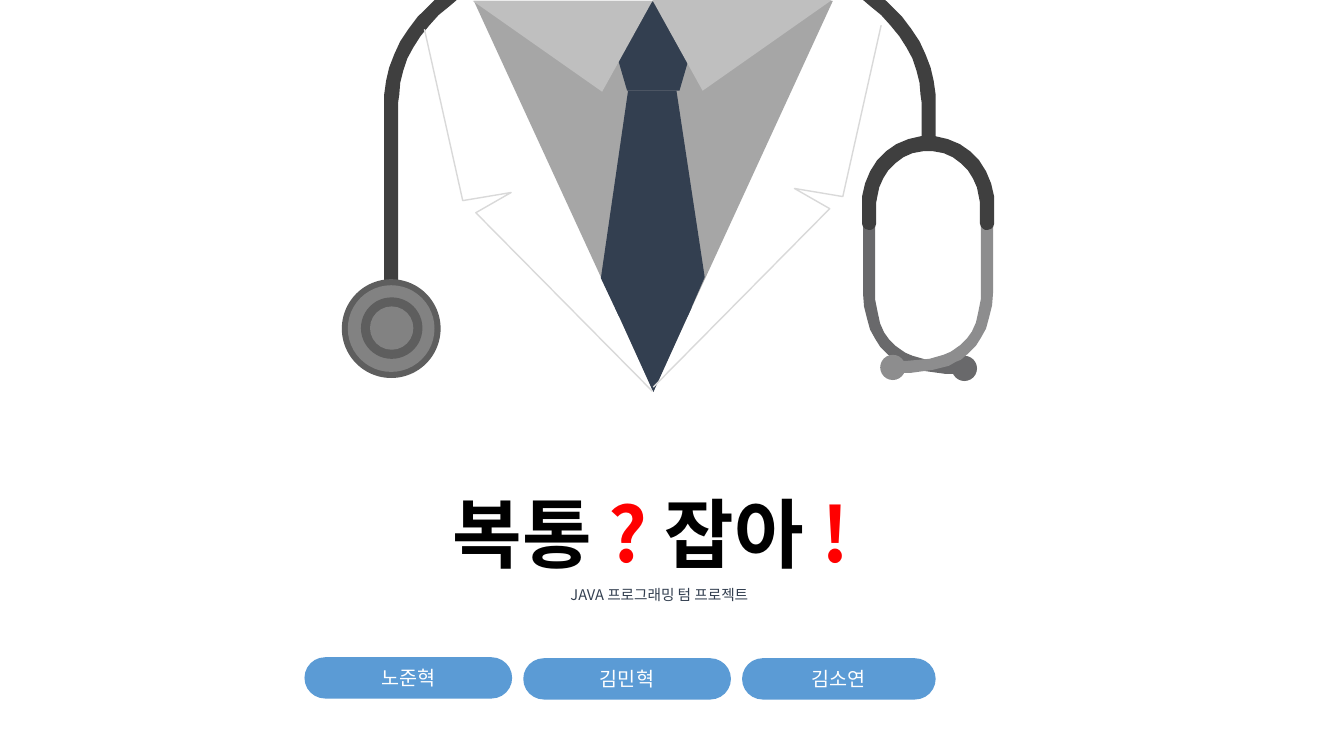
"""Build the title slide of a doctor-themed Java term project."""
from dataclasses import dataclass
from typing import Any

from lxml import etree
from pptx import Presentation
from pptx.dml.color import RGBColor
from pptx.enum.shapes import MSO_SHAPE
from pptx.enum.text import MSO_ANCHOR, MSO_AUTO_SIZE, PP_ALIGN
from pptx.oxml.ns import qn
from pptx.util import Emu, Pt

TRIANGLE = MSO_SHAPE.ISOSCELES_TRIANGLE
PENTAGON = MSO_SHAPE.REGULAR_PENTAGON
OVAL = MSO_SHAPE.OVAL
PILL = MSO_SHAPE.ROUNDED_RECTANGLE
CENTER = PP_ALIGN.CENTER
MIDDLE = MSO_ANCHOR.MIDDLE
GROW = MSO_AUTO_SIZE.SHAPE_TO_FIT_TEXT

EMU_PER_PX = 9144
FONT = "Noto Sans CJK KR"
NAVY, SHIRT, COLLAR, RUBBER = "333F50", "A6A6A6", "BFBFBF", "3F3F3F"
RIM, DISC, DARK_METAL, LIGHT_METAL = "5E5E5E", "828282", "69696B", "8D8D8E"
SEAM, BLUE, WHITE, BLACK, RED = "D9D9D9", "5B9BD5", "FFFFFF", "000000", "FF0000"

Points = list[tuple[int, int]]


@dataclass(frozen=True)
class Preset:
    kind: Any
    left: int
    top: int
    width: int
    height: int
    fill: str
    rotation: int = 0
    adjustment: float | None = None


@dataclass(frozen=True)
class Outline:
    points: Points
    fill: str | None = None
    line: str | None = None


@dataclass(frozen=True)
class Words:
    text: str
    color: str
    size: float
    bold: bool = False


@dataclass(frozen=True)
class Member:
    name: str
    top: int
    width: int


def px(value: int) -> Emu:
    return Emu(value * EMU_PER_PX)


def rgb(color: str) -> RGBColor:
    return RGBColor.from_string(color)


def mirror(points: Points, axis_sum: int, drop: int = 0) -> Points:
    return [(axis_sum - x, y + drop) for x, y in points]


def tube(end: int) -> Points:
    return TUBE_OUTER + [(928, end), (914, end)] + TUBE_INNER


def disc(left: int, top: int, size: int, fill: str) -> Preset:
    return Preset(OVAL, left, top, size, size, fill)


def paint(shape: Any, fill: str | None, line: str | None = None) -> None:
    shape.shadow.inherit = False
    if fill:
        shape.fill.solid()
        shape.fill.fore_color.rgb = rgb(fill)
    else:
        shape.fill.background()
    if line:
        shape.line.color.rgb = rgb(line)
        shape.line.width = Pt(1)
    else:
        shape.line.fill.background()


def draw_preset(shapes: Any, part: Preset) -> Any:
    box = map(px, (part.left, part.top, part.width, part.height))
    shape = shapes.add_shape(part.kind, *box)
    shape.rotation = part.rotation
    if part.adjustment is not None:
        shape.adjustments[0] = part.adjustment
    paint(shape, part.fill)
    return shape


def draw_outline(shapes: Any, part: Outline) -> None:
    builder = shapes.build_freeform(*part.points[0], scale=EMU_PER_PX)
    builder.add_line_segments(part.points[1:], close=part.fill is not None)
    paint(builder.convert_to_shape(), part.fill, part.line)


def write(paragraph: Any, words: list[Words]) -> None:
    paragraph.alignment = CENTER
    for piece in words:
        run = paragraph.add_run()
        run.text = piece.text
        formats = {"name": FONT, "size": Pt(piece.size), "bold": piece.bold}
        for attribute, value in formats.items():
            setattr(run.font, attribute, value)
        run.font.color.rgb = rgb(piece.color)
        etree.SubElement(run.font._element, qn("a:ea"), typeface=FONT)


TUBE_OUTER = [(856, 0), (878, 0), (884, 6), (895, 17), (904, 29), (912, 41), (918, 54),
              (923, 67), (926, 80), (928, 94), (928, 101)]
TUBE_INNER = [(914, 101), (913, 94), (912, 82), (909, 70), (905, 58), (899, 47),
              (892, 36), (883, 25), (874, 15), (863, 6)]
EARPIECE = [(952, 371), (938, 371), (916, 368), (900, 364), (893, 360), (888, 358),
            (881, 352), (873, 344), (868, 336), (863, 327), (860, 316), (857, 304),
            (856, 291), (856, 221), (868, 221), (868, 297), (871, 312), (873, 321),
            (877, 330), (882, 337), (888, 343), (895, 348), (898, 350), (905, 353),
            (919, 357), (941, 359), (956, 359), (956, 371)]
YOKE_HALF = [(920, 150), (925, 150), (936, 152), (945, 156), (953, 162), (960, 169),
             (965, 177), (969, 186), (971, 196), (972, 201), (972, 222), (973, 225),
             (975, 227), (977, 228), (980, 228), (983, 227), (985, 225), (986, 222),
             (986, 201), (986, 195), (983, 182), (978, 170), (971, 159), (962, 150),
             (952, 143), (940, 138), (927, 135), (920, 135)]
TIE = [(623, 90), (671, 90), (699, 275), (682, 314), (614, 314), (596, 276)]
LAPEL = [(421, 29), (459, 199), (507, 191), (472, 211), (647, 388)]
EAR_AXIS, TUBE_AXIS, LAPEL_AXIS = 1841, 1309, 1295

DOCTOR = [
    Preset(TRIANGLE, 470, 1, 356, 387, SHIRT, 180),
    Preset(PENTAGON, 606, 1, 84, 89, NAVY),
    Outline(TIE, NAVY),
    Preset(TRIANGLE, 469, 1, 178, 90, COLLAR, 180, 0.28),
    Outline(mirror(tube(351), TUBE_AXIS), RUBBER),
    Outline(tube(147), RUBBER),
    disc(339, 277, 98, RIM),
    disc(345, 283, 86, DISC),
    disc(358, 295, 61, RIM),
    disc(367, 304, 43, DISC),
    Outline(EARPIECE, DARK_METAL),
    disc(944, 353, 25, DARK_METAL),
    Outline(mirror(EARPIECE, EAR_AXIS, -1), LIGHT_METAL),
    disc(873, 352, 25, LIGHT_METAL),
    Outline(YOKE_HALF + mirror(YOKE_HALF[::-1], EAR_AXIS), RUBBER),
    Preset(TRIANGLE, 647, 0, 178, 90, COLLAR, 180, 0.72),
    Preset(TRIANGLE, 610, 305, 76, 84, NAVY, 180),
    Outline(LAPEL, line=SEAM),
    Outline(mirror(LAPEL, LAPEL_AXIS, -4), line=SEAM),
]
TITLE = [
    [Words("복통 ", BLACK, 54, True), Words("? ", RED, 54, True),
     Words("잡아 ", BLACK, 54, True), Words("! ", RED, 54, True)],
    [Words("JAVA 프로그래밍 텀 프로젝트", NAVY, 10.5)],
]
MEMBERS = [Member("노준혁", 652, 206), Member("김민혁", 653, 206), Member("김소연", 653, 192)]
MEMBER_LEFT, MEMBER_STEP, MEMBER_HEIGHT = 302, 217, 41


def main() -> None:
    deck = Presentation()
    deck.slide_width, deck.slide_height = px(1333), px(750)
    slide = deck.slides.add_slide(deck.slide_layouts[6])

    doctor = slide.shapes.add_group_shape().shapes
    for part in DOCTOR:
        if isinstance(part, Preset):
            draw_preset(doctor, part)
        else:
            draw_outline(doctor, part)

    heading = slide.shapes.add_textbox(*map(px, (319, 433, 670, 170))).text_frame
    for attribute, value in {"word_wrap": True, "auto_size": GROW}.items():
        setattr(heading, attribute, value)
    heading.add_paragraph()
    for paragraph, words in zip(heading.paragraphs, TITLE):
        paragraph.line_spacing = 1.5
        write(paragraph, words)

    for index, member in enumerate(MEMBERS):
        left = MEMBER_LEFT + index * MEMBER_STEP
        badge = draw_preset(slide.shapes, Preset(
            PILL, left, member.top, member.width, MEMBER_HEIGHT, BLUE, adjustment=0.5))
        badge.text_frame.vertical_anchor = MIDDLE
        write(badge.text_frame.paragraphs[0], [Words(member.name, WHITE, 14)])

    deck.save("out.pptx")


if __name__ == "__main__":
    main()
